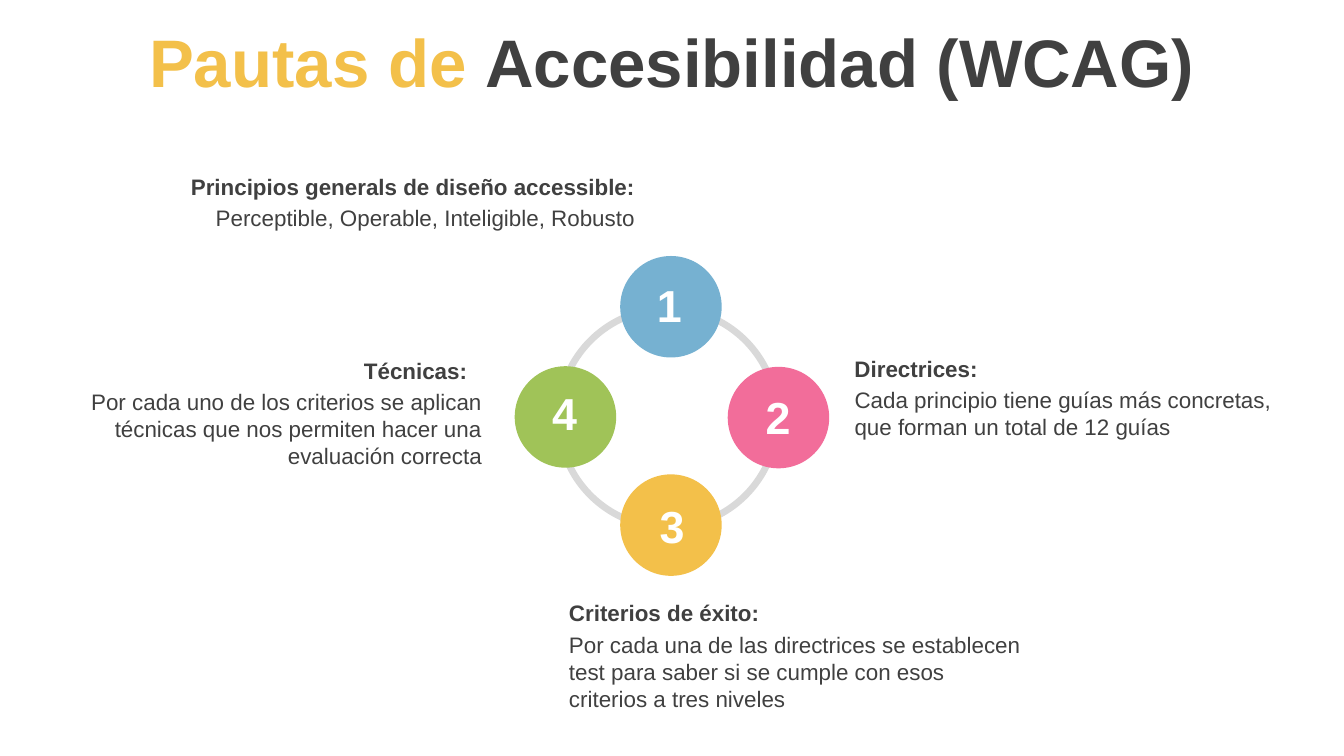
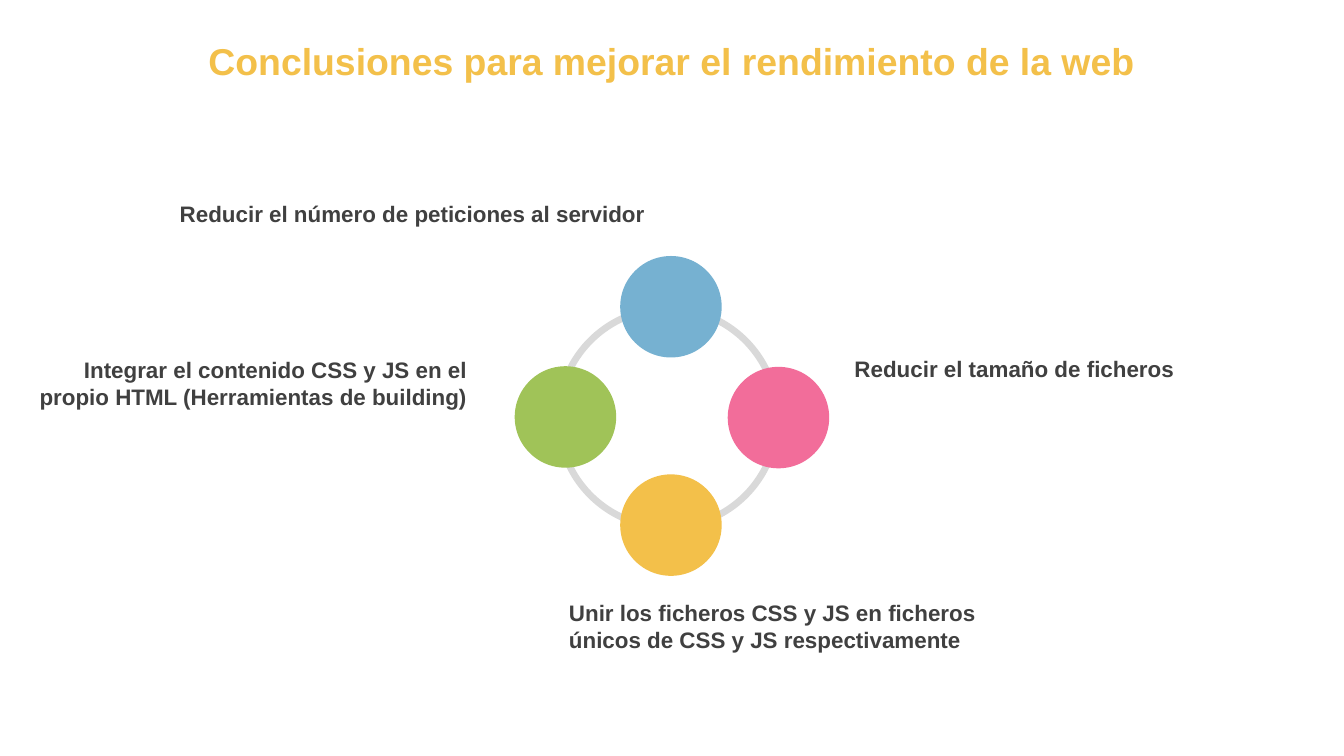
from dataclasses import dataclass

from pptx import Presentation
from pptx.dml.color import RGBColor
from pptx.enum.shapes import MSO_SHAPE
from pptx.enum.text import MSO_ANCHOR, MSO_AUTO_SIZE, PP_ALIGN
from pptx.util import Pt

PX = 4572  # 200 px to the inch
PAGE_WIDTH, PAGE_HEIGHT = 2000, 1125
TITLE_ONLY = 5


@dataclass(frozen=True)
class Theme:
    font: str = "Arial"
    dark: str = "404040"
    ring: str = "D9D9D9"
    white: str = "FFFFFF"
    blue: str = "76B1D1"
    pink: str = "F26D9A"
    yellow: str = "F3C04A"
    green: str = "A0C358"
    title_size: int = 36
    long_title_size: int = 20
    number_size: int = 24
    text_size: int = 12


THEME = Theme()

# Circles, clockwise from the top: left, top, colour
DIAMETER = 151
CIRCLES = [
    (923, 381, THEME.blue),
    (1083, 546, THEME.pink),
    (923, 706, THEME.yellow),
    (766, 545, THEME.green),
]
NUMBER_CORNERS = [(944, 412), (1106, 579), (948, 741), (788, 573)]

# Each topic: right aligned, heading, heading frame, body, body frame
TOPICS = [
    (False, "Criterios de éxito:", (827, 882, 724, 60),
     "Por cada una de las directrices se establecen test para saber "
     "si se cumple con esos criterios a tres niveles", (827, 929, 724, 142)),
    (False, "Directrices:", (1252, 519, 620, 60),
     "Cada principio tiene guías más concretas, que forman un total "
     "de 12 guías", (1252, 565, 662, 100)),
    (True, "Principios generals de diseño accessible:", (71, 248, 894, 60),
     "Perceptible, Operable, Inteligible, Robusto", (285, 294, 680, 100)),
    (True, "Técnicas:", (101, 521, 614, 60),
     "Por cada uno de los criterios se aplican técnicas que nos permiten "
     "hacer una evaluación correcta", (101, 568, 636, 142)),
]

# Each conclusion: right aligned, text, frame
CONCLUSIONS = [
    (False, "Unir los ficheros CSS y JS en ficheros únicos de CSS y JS "
     "respectivamente", (827, 882, 724, 100)),
    (False, "Reducir el tamaño de ficheros", (1252, 519, 620, 60)),
    (True, "Reducir el número de peticiones al servidor", (86, 288, 894, 60)),
    (True, "Integrar el contenido CSS y JS en el propio HTML "
     "(Herramientas de building)", (39, 520, 676, 100)),
]


class Builder:
    """Holds the deck, the theme and the current page."""

    def __init__(self, theme):
        self.theme = theme
        self.deck = Presentation()
        self.deck.slide_width = PAGE_WIDTH * PX
        self.deck.slide_height = PAGE_HEIGHT * PX
        self.page = None

    def new_page(self):
        self.page = self.deck.slides.add_slide(self.deck.slide_layouts[TITLE_ONLY])

    def style(self, span, size, color, bold):
        span.font.name = self.theme.font
        span.font.size = Pt(size)
        span.font.bold = bold
        span.font.color.rgb = RGBColor.from_string(color)

    def title(self, size, *parts):
        box = self.page.shapes.title
        box.left, box.top = 0, 5 * PX
        box.width, box.height = PAGE_WIDTH * PX, 170 * PX
        frame = box.text_frame
        frame.auto_size = MSO_AUTO_SIZE.NONE
        frame.vertical_anchor = MSO_ANCHOR.MIDDLE
        para = frame.paragraphs[0]
        para.alignment = PP_ALIGN.CENTER
        for text, color in parts:
            span = para.add_run()
            span.text = text
            self.style(span, size, color, True)

    def shape(self, kind, left, top, size, color):
        shape = self.page.shapes.add_shape(
            kind, left * PX, top * PX, size * PX, size * PX)
        shape.shadow.inherit = False
        shape.fill.solid()
        shape.fill.fore_color.rgb = RGBColor.from_string(color)
        shape.line.fill.background()
        return shape

    def text(self, shapes, text, frame_px, align, size, color, bold):
        box = shapes.add_textbox(*(length * PX for length in frame_px))
        frame = box.text_frame
        frame.word_wrap = True
        frame.text = text
        para = frame.paragraphs[0]
        para.alignment = align
        self.style(para.runs[0], size, color, bold)
        return frame

    def label(self, shapes, text, frame_px, right, bold):
        align = PP_ALIGN.RIGHT if right else PP_ALIGN.LEFT
        frame = self.text(shapes, text, frame_px, align,
                          self.theme.text_size, self.theme.dark, bold)
        frame.auto_size = MSO_AUTO_SIZE.SHAPE_TO_FIT_TEXT

    def topic(self, right, heading, heading_px, body, body_px):
        group = self.page.shapes.add_group_shape()
        self.label(group.shapes, body, body_px, right, False)
        self.label(group.shapes, heading, heading_px, right, True)

    def number(self, value, left, top):
        frame = self.text(self.page.shapes, str(value), (left, top, 104, 82),
                          PP_ALIGN.CENTER, self.theme.number_size,
                          self.theme.white, True)
        frame.vertical_anchor = MSO_ANCHOR.MIDDLE

    def cycle(self):
        ring = self.shape(MSO_SHAPE.DONUT, 826, 454, 336, self.theme.ring)
        ring.adjustments[0] = 0.03
        for left, top, color in CIRCLES:
            self.shape(MSO_SHAPE.OVAL, left, top, DIAMETER, color)


def main():
    builder = Builder(THEME)

    # Accessibility guidelines
    builder.new_page()
    builder.title(THEME.title_size, ("Pautas de ", THEME.yellow),
                  ("Accesibilidad (WCAG)", THEME.dark))
    builder.cycle()
    for topic in TOPICS:
        builder.topic(*topic)
    for value, corner in enumerate(NUMBER_CORNERS, start=1):
        builder.number(value, *corner)

    # Conclusions
    builder.new_page()
    builder.title(THEME.long_title_size,
                  ("Conclusiones para mejorar el rendimiento de la web", THEME.yellow))
    builder.cycle()
    for right, text, frame_px in CONCLUSIONS:
        builder.label(builder.page.shapes, text, frame_px, right, True)

    builder.deck.save("out.pptx")


if __name__ == "__main__":
    main()
